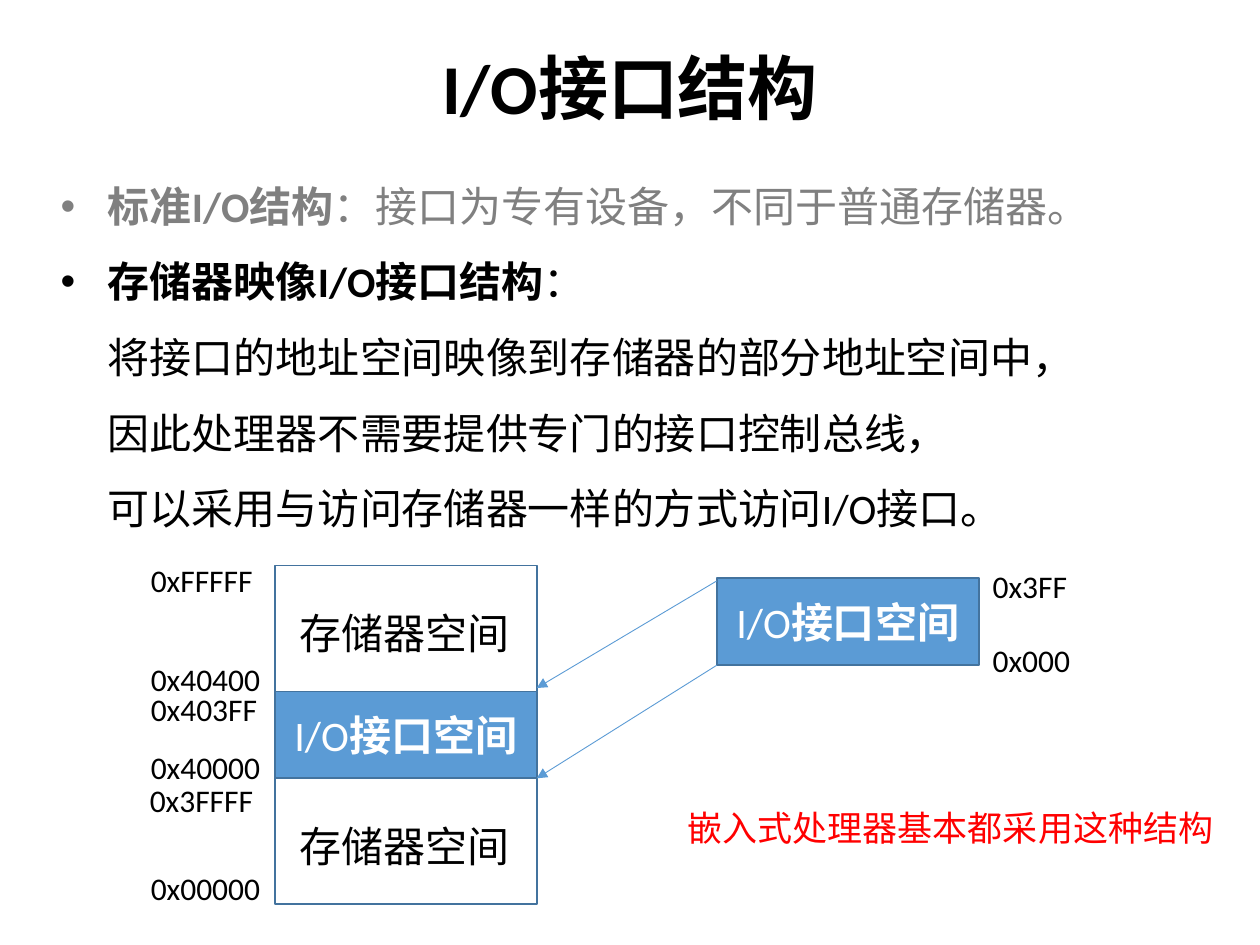
from lxml.etree import SubElement
from pptx import Presentation
from pptx.dml.color import RGBColor
from pptx.enum.shapes import MSO_CONNECTOR as CONNECTOR, MSO_SHAPE as SHAPE
from pptx.enum.text import MSO_ANCHOR as ANCHOR, MSO_AUTO_SIZE as AUTO_SIZE, PP_ALIGN as ALIGN
from pptx.oxml.ns import qn
from pptx.util import Cm, Pt

# Content: a paragraph is a list of (text, bold) runs
TITLE = [[("I/O接口结构", True)]]
STANDARD = [("标准I/O结构", True), ("：接口为专有设备，不同于普通存储器。", False)]
MAPPED = [
    ("存储器映像I/O接口结构", True),
    ("：\n将接口的地址空间映像到存储器的部分地址空间中，\n"
     "因此处理器不需要提供专门的接口控制总线，\n"
     "可以采用与访问存储器一样的方式访问I/O接口。", False),
]
IO_SPACE = [[("I/O", False), ("接口空间", True)]]
MEMORY_SPACE = [[("存储器空间", False)]]
REMARK = [[("嵌入式处理器基本都采用这种结构", False)]]

# Memory map from top to bottom: kind, height in cm
REGIONS = [("memory", 2.54), ("io", 1.75), ("memory", 2.54)]
# Address labels: text, left, top, width in cm
ADDRESSES = [
    ("0xFFFFF", 2.79, 11.18, 2.6), ("0x40400", 2.79, 13.18, 2.74),
    ("0x403FF", 2.79, 13.79, 2.67), ("0x40000", 2.79, 14.96, 2.74),
    ("0x3FFFF", 2.77, 15.62, 2.62), ("0x00000", 2.79, 17.4, 2.74),
    ("0x3FF", 19.76, 11.3, 2.03), ("0x000", 19.76, 12.8, 2.08),
]

# Layout in cm
BOX_WIDTH, IO_HEIGHT = 5.28, 1.75
MAP_LEFT, MAP_TOP = 5.54, 11.4
DEVICE_LEFT, DEVICE_TOP = 14.45, 11.66

LATIN, CJK = "Calibri", "Noto Sans CJK SC"
BLACK, GRAY, WHITE, RED = "000000", "808080", "FFFFFF", "FF0000"
BLUE, DARK_BLUE = "5B9BD5", "43739E"


def color(hex_text):
    return RGBColor.from_string(hex_text)


def place(shape, left, top, width, height):
    shape.left, shape.top = Cm(left), Cm(top)
    shape.width, shape.height = Cm(width), Cm(height)


def write(frame, paragraphs, size=24, colors=(BLACK,), font=LATIN, align=ALIGN.LEFT,
          spacing=1.0, anchor=ANCHOR.TOP, wrap=True):
    """Fill a text frame; colors gives one colour for each paragraph."""
    frame.word_wrap, frame.vertical_anchor = wrap, anchor
    frame.auto_size = AUTO_SIZE.NONE
    for index, (runs, hex_text) in enumerate(zip(paragraphs, colors)):
        paragraph = frame.add_paragraph() if index else frame.paragraphs[0]
        paragraph.alignment, paragraph.line_spacing = align, spacing
        paragraph.space_before = Pt(0)
        for text, bold in runs:
            for number, line in enumerate(text.split("\n")):
                if number:
                    paragraph.add_line_break()
                run = paragraph.add_run()
                run.text = line
                run.font.size, run.font.bold = Pt(size), bold
                run.font.color.rgb = color(hex_text)
                run.font.name = font
                SubElement(run.font._element, qn("a:ea"), typeface=CJK)


def add_text(slide, position, paragraphs, **style):
    box = slide.shapes.add_textbox(*map(Cm, position))
    write(box.text_frame, paragraphs, wrap=False, **style)


def add_region(slide, kind, left, top, height):
    box = slide.shapes.add_shape(SHAPE.RECTANGLE, Cm(left), Cm(top), Cm(BOX_WIDTH), Cm(height))
    box.shadow.inherit = False
    box.line.color.rgb, box.line.width = color(DARK_BLUE), Pt(1)
    if kind == "io":
        box.fill.solid()
        box.fill.fore_color.rgb = color(BLUE)
        write(box.text_frame, IO_SPACE, colors=(WHITE,), align=ALIGN.CENTER, anchor=ANCHOR.MIDDLE)
    else:
        box.fill.background()
        add_text(slide, (left + 0.25, top + 0.73, 4.78, 1.27), MEMORY_SPACE)


def add_arrow(slide, start, end):
    arrow = slide.shapes.add_connector(CONNECTOR.STRAIGHT, *map(Cm, (*start, *end)))
    arrow.line.color.rgb, arrow.line.width = color(BLUE), Pt(0.5)
    SubElement(arrow.line._get_or_add_ln(), qn("a:tailEnd"), type="triangle")
    SubElement(arrow._element.spPr, qn("a:effectLst"))


def main():
    presentation = Presentation()
    presentation.slide_width, presentation.slide_height = Cm(25.4), Cm(19.05)
    slide = presentation.slides.add_slide(presentation.slide_layouts[1])

    # Title and list
    title, body = slide.shapes.title, slide.placeholders[1]
    place(title, 1.75, 0.69, 21.9, 2.31)
    write(title.text_frame, TITLE, size=40, align=ALIGN.CENTER, spacing=0.9, anchor=ANCHOR.MIDDLE)
    place(body, 0.97, 3, 23.27, 7.95)
    write(body.text_frame, [STANDARD, MAPPED], colors=(GRAY, BLACK), spacing=1.5)

    # Memory map and the device's own address space
    add_region(slide, "io", DEVICE_LEFT, DEVICE_TOP, IO_HEIGHT)
    top = MAP_TOP
    for kind, height in REGIONS:
        add_region(slide, kind, MAP_LEFT, top, height)
        top += height

    # Arrows from the device to its mapped region
    map_right = MAP_LEFT + BOX_WIDTH
    io_top = MAP_TOP + REGIONS[0][1]
    add_arrow(slide, (DEVICE_LEFT, DEVICE_TOP + 0.05), (map_right, io_top - 0.07))
    add_arrow(slide, (DEVICE_LEFT, DEVICE_TOP + IO_HEIGHT), (map_right, io_top + IO_HEIGHT))

    # Address labels and remark
    for text, left, label_top, width in ADDRESSES:
        add_text(slide, (left, label_top, width, 1.02), [[(text, False)]], size=18)
    add_text(slide, (13.61, 16.13, 11.2, 1.12), REMARK, size=20, colors=(RED,), font=CJK)

    presentation.save("out.pptx")


if __name__ == "__main__":
    main()
